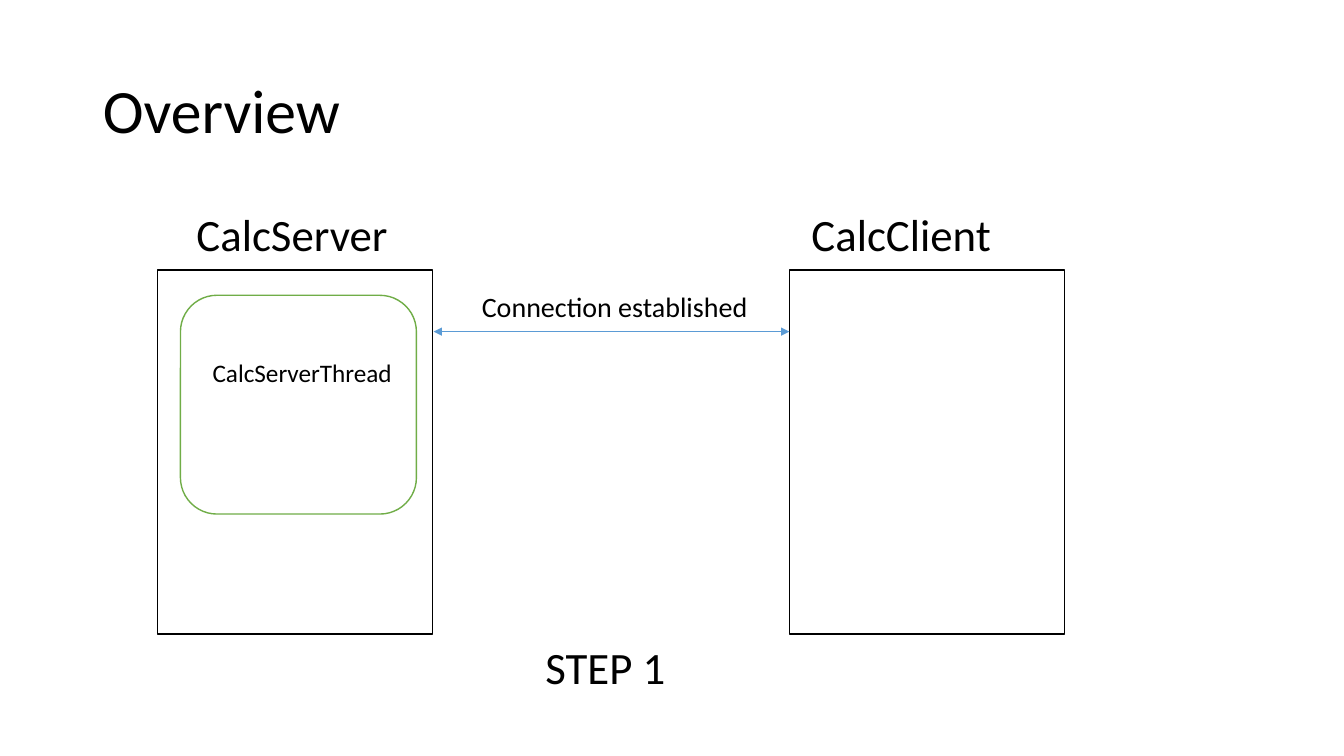
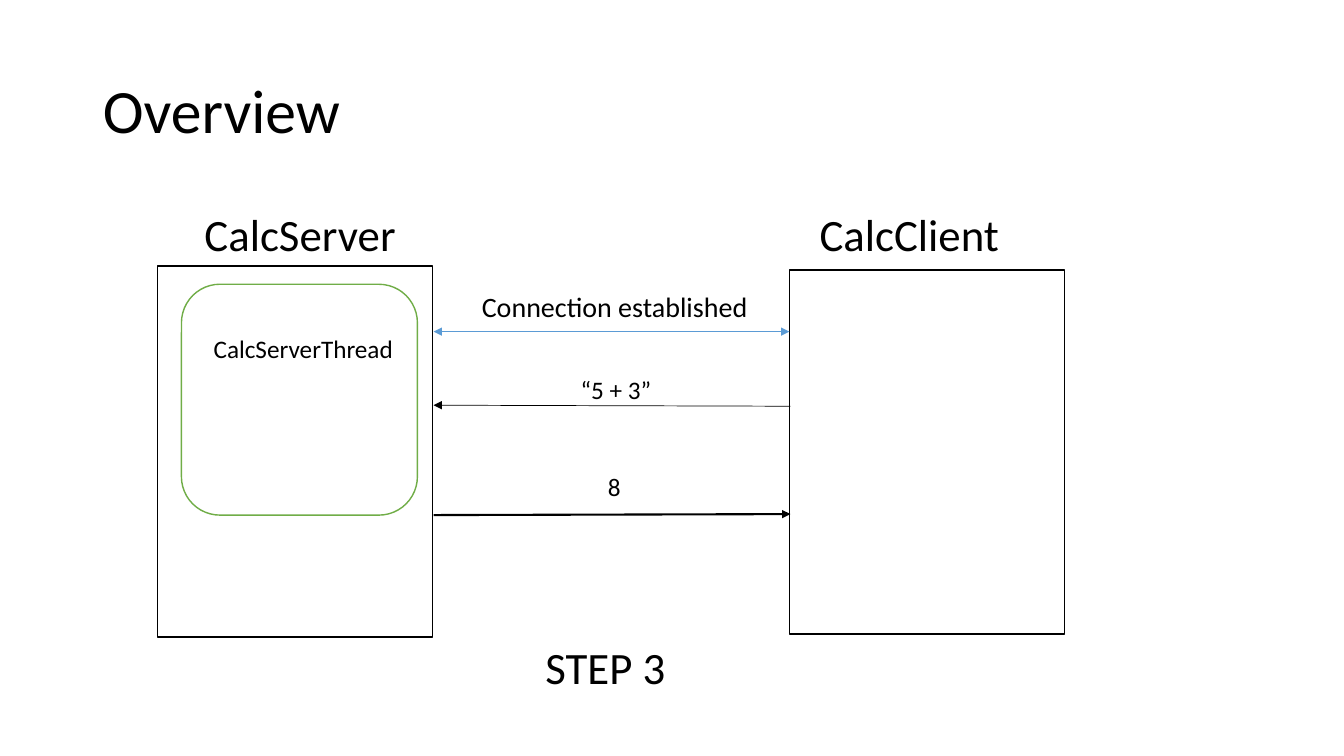
from dataclasses import dataclass

from lxml import etree
from pptx import Presentation
from pptx import util as u
from pptx.dml.color import RGBColor
from pptx.enum import shapes, text
from pptx.oxml import ns

FONT = "Calibri"
BLACK, WHITE, BLUE, GREEN = "000000", "FFFFFF", "5B9BD5", "70AD47"
RECT = shapes.MSO_SHAPE.RECTANGLE
ROUNDED = shapes.MSO_SHAPE.ROUNDED_RECTANGLE

# Geometry common to both steps
SERVER_LEFT, CLIENT_LEFT, HOST_WIDTH = 1.56, 7.83, 2.73
SERVER_RIGHT = 4.3
HEADING_TOP, HEADING_GAP = 2, 6.1


@dataclass(frozen=True)
class Frame:
    left: float
    top: float
    width: float
    height: float
    line: str = BLACK
    preset: shapes.MSO_SHAPE = RECT


@dataclass(frozen=True)
class Label:
    words: str
    left: float
    top: float
    width: float
    size: int = 18


@dataclass(frozen=True)
class Arrow:
    start: tuple[float, float]
    end: tuple[float, float]
    color: str = BLACK
    weight: float = 0.5
    both_ends: bool = False


@dataclass(frozen=True)
class Step:
    number: int
    heading_left: float
    server: Frame
    thread: Frame
    thread_label: Label
    messages: tuple[Label, ...] = ()
    arrows: tuple[Arrow, ...] = ()


CLIENT = Frame(CLIENT_LEFT, 2.68, HOST_WIDTH, 3.61)
CONNECTION = Arrow((SERVER_RIGHT, 3.29), (CLIENT_LEFT, 3.29), BLUE, both_ends=True)
CONNECTION_LABEL = Label("Connection established", 4.68, 2.82, 3.15, 20)

STEPS = (
    Step(
        1, 1.85,
        server=Frame(SERVER_LEFT, 2.68, HOST_WIDTH, 3.61),
        thread=Frame(1.79, 2.93, 2.34, 2.17, GREEN, ROUNDED),
        thread_label=Label("CalcServerThread", 2.01, 3.5, 2.37),
    ),
    Step(
        3, 1.93,
        server=Frame(SERVER_LEFT, 2.64, HOST_WIDTH, 3.68),
        thread=Frame(1.8, 2.82, 2.34, 2.29, GREEN, ROUNDED),
        thread_label=Label("CalcServerThread", 2.02, 3.26, 2.08),
        messages=(
            Label("“5 + 3”", 5.66, 3.66, 1.52),
            Label("8", 5.93, 4.63, 1.48),
        ),
        arrows=(
            Arrow((7.84, 4.03), (SERVER_RIGHT, 4.02)),
            Arrow((SERVER_RIGHT, 5.11), (7.84, 5.1), weight=1.5),
        ),
    ),
)


def rgb(value: str) -> RGBColor:
    return RGBColor.from_string(value)


def write(para, words: str, size: int) -> None:
    span = para.add_run()
    span.text = words
    span.font.name = FONT
    span.font.size = u.Pt(size)
    span.font.color.rgb = rgb(BLACK)


def set_title(page, words: str) -> None:
    title = page.shapes.title
    title.left, title.top = u.Inches(0.92), u.Inches(0.4)
    title.width, title.height = u.Inches(11.5), u.Inches(1.45)
    title.text_frame.vertical_anchor = text.MSO_ANCHOR.MIDDLE
    para = title.text_frame.paragraphs[0]
    para.alignment = text.PP_ALIGN.LEFT
    para.line_spacing = 0.9
    write(para, words, 44)


def draw_frame(page, frame: Frame) -> None:
    box = page.shapes.add_shape(
        frame.preset, u.Inches(frame.left), u.Inches(frame.top),
        u.Inches(frame.width), u.Inches(frame.height))
    box.shadow.inherit = False
    box.fill.solid()
    box.fill.fore_color.rgb = rgb(WHITE)
    box.line.color.rgb = rgb(frame.line)
    box.line.width = u.Pt(1)


def draw_label(page, label: Label) -> None:
    height = 0.1 + label.size * 1.2 / 72 + 0.01
    box = page.shapes.add_textbox(
        u.Inches(label.left), u.Inches(label.top),
        u.Inches(label.width), u.Inches(height))
    box.text_frame.word_wrap = True
    write(box.text_frame.paragraphs[0], label.words, label.size)


def draw_arrow(page, arrow: Arrow) -> None:
    connector = page.shapes.add_connector(
        shapes.MSO_CONNECTOR.STRAIGHT,
        *(u.Inches(value) for value in arrow.start + arrow.end))
    connector.line.color.rgb = rgb(arrow.color)
    connector.line.width = u.Pt(arrow.weight)
    # Arrowheads, and no shadow
    outline = connector.line._get_or_add_ln()
    ends = ("a:headEnd", "a:tailEnd") if arrow.both_ends else ("a:tailEnd",)
    for end in ends:
        etree.SubElement(outline, ns.qn(end), type="triangle")
    etree.SubElement(connector._element.spPr, ns.qn("a:effectLst"))


def draw_step(deck, step: Step) -> None:
    page = deck.slides.add_slide(deck.slide_layouts[5])
    set_title(page, "Overview")

    # Hosts and the server thread
    for frame in (step.server, CLIENT, step.thread):
        draw_frame(page, frame)

    # Traffic between the hosts
    for arrow in (CONNECTION, *step.arrows):
        draw_arrow(page, arrow)

    # Headings, captions and step number
    headings = tuple(
        Label(words, step.heading_left + index * HEADING_GAP, HEADING_TOP, 2.4, 32)
        for index, words in enumerate(("CalcServer", "CalcClient")))
    caption = Label(f"STEP {step.number}", 5.31, 6.3, 2.14, 32)
    for label in (*headings, CONNECTION_LABEL, step.thread_label,
                  *step.messages, caption):
        draw_label(page, label)


def main() -> None:
    deck = Presentation()
    deck.slide_width, deck.slide_height = u.Inches(13.33), u.Inches(7.5)
    for step in STEPS:
        draw_step(deck, step)
    deck.save("out.pptx")


if __name__ == "__main__":
    main()
